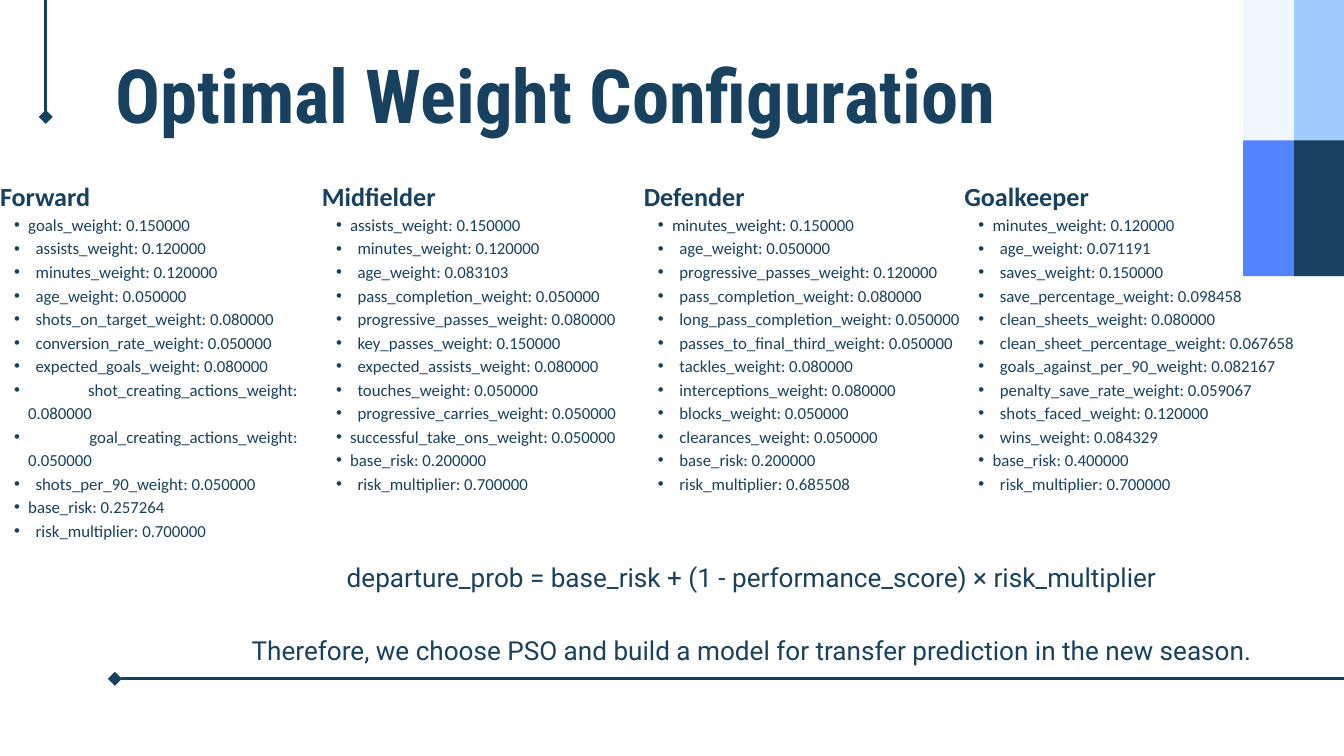
"""Build the slide listing the optimal weight configuration for each player role."""
import pptx
import pptx.util
import pptx.dml.color
import pptx.enum.shapes
import pptx.enum.text
import lxml.etree
from pptx.util import Inches

NAVY = "17415F"
ALIGN = pptx.enum.text.PP_ALIGN


def color(value):
    return pptx.dml.color.RGBColor.from_string(value)


def format_para(para, size, font, spacing, align, bold=False):
    para.alignment = align
    para.line_spacing = pptx.util.Pt(spacing)
    para.space_before = para.space_after = pptx.util.Pt(0)
    for span in para.runs:
        span.font.size = pptx.util.Pt(size)
        span.font.name = font
        span.font.bold = bold
        span.font.color.rgb = color(NAVY)


roles = [
    ("Forward", 0, 4.43, 5.36, [
        "goals_weight: 0.150000", "assists_weight: 0.120000",
        "minutes_weight: 0.120000", "age_weight: 0.050000",
        "shots_on_target_weight: 0.080000", "conversion_rate_weight: 0.050000",
        "expected_goals_weight: 0.080000", " shot_creating_actions_weight: 0.080000",
        " goal_creating_actions_weight: 0.050000", "shots_per_90_weight: 0.050000",
        "base_risk: 0.257264", "risk_multiplier: 0.700000"], (0, 7, 8, 10)),
    ("Midfielder", 4.79, 4.43, 4.68, [
        "assists_weight: 0.150000", "minutes_weight: 0.120000",
        "age_weight: 0.083103", "pass_completion_weight: 0.050000",
        "progressive_passes_weight: 0.080000", "key_passes_weight: 0.150000",
        "expected_assists_weight: 0.080000", "touches_weight: 0.050000",
        "progressive_carries_weight: 0.050000", "successful_take_ons_weight: 0.050000",
        "base_risk: 0.200000", "risk_multiplier: 0.700000"], (0, 9, 10)),
    ("Defender", 9.58, 4.84, 4.68, [
        "minutes_weight: 0.150000", "age_weight: 0.050000",
        "progressive_passes_weight: 0.120000", "pass_completion_weight: 0.080000",
        "long_pass_completion_weight: 0.050000", "passes_to_final_third_weight: 0.050000",
        "tackles_weight: 0.080000", "interceptions_weight: 0.080000",
        "blocks_weight: 0.050000", "clearances_weight: 0.050000",
        "base_risk: 0.200000", "risk_multiplier: 0.685508"], (0,)),
    ("Goalkeeper", 14.35, 4.91, 4.68, [
        "minutes_weight: 0.120000", "age_weight: 0.071191",
        "saves_weight: 0.150000", "save_percentage_weight: 0.098458",
        "clean_sheets_weight: 0.080000", "clean_sheet_percentage_weight: 0.067658",
        "goals_against_per_90_weight: 0.082167", "penalty_save_rate_weight: 0.059067",
        "shots_faced_weight: 0.120000", "wins_weight: 0.084329",
        "base_risk: 0.400000", "risk_multiplier: 0.700000"], (0, 10)),
]

deck = pptx.Presentation()
deck.slide_width, deck.slide_height = Inches(20), Inches(11.25)
page = deck.slides.add_slide(deck.slide_layouts.get_by_name("Comparison"))
title, *bodies = [holder for holder in page.placeholders
                  if holder.placeholder_format.idx < 5]
for holder in list(page.placeholders):
    if holder.placeholder_format.idx >= 5:
        holder.element.getparent().remove(holder.element)

for left, top, right, bottom in [(1.71, 10.1, 23.61, 10.1), (0.68, 1.74, 0.68, -20.16)]:
    rule = page.shapes.add_connector(
        pptx.enum.shapes.MSO_CONNECTOR.STRAIGHT,
        Inches(left), Inches(top), Inches(right), Inches(bottom))
    rule.line.color.rgb = color(NAVY)
    rule.line.width = pptx.util.Pt(3)
    properties = rule.element.spPr
    namespace = "{" + properties.nsmap["a"] + "}"
    lxml.etree.SubElement(rule.line._get_or_add_ln(), namespace + "headEnd",
                          type="diamond", w="lg", len="lg")
    lxml.etree.SubElement(properties, namespace + "effectLst")

for left, top, height, fill in [
        (18.5, -0.28, 4.39, "5284FF"), (18.5, -2.16, 4.25, "F0F7FE"),
        (19.26, -0.28, 4.39, NAVY), (19.26, -2.16, 4.25, "9FCDFF")]:
    block = page.shapes.add_shape(
        pptx.enum.shapes.MSO_SHAPE.RECTANGLE,
        Inches(left), Inches(top), Inches(1.93), Inches(height))
    block.shadow.inherit = False
    block.fill.solid()
    block.fill.fore_color.rgb = color(fill)
    block.line.fill.background()

closing = page.shapes.add_textbox(0, 0, 0, 0)
places = [(title, 1.72, 0.94, 13.55, 1.58), (closing, 2.36, 8.27, 17.64, 1.99)]
places += [(body, left, 2.6, width, height)
           for body, (name, left, width, height, weights, flush) in zip(bodies, roles)]
for box, left, top, width, height in places:
    box.left, box.top = Inches(left), Inches(top)
    box.width, box.height = Inches(width), Inches(height)
    frame = box.text_frame
    frame.margin_left = frame.margin_top = frame.margin_right = frame.margin_bottom = 0
    frame.word_wrap = True
    frame.auto_size = pptx.enum.text.MSO_AUTO_SIZE.NONE
    frame.vertical_anchor = pptx.enum.text.MSO_ANCHOR.TOP

title.text_frame.text = "Optimal Weight Configuration"
format_para(title.text_frame.paragraphs[0], 80, "Roboto Condensed", 80.8, ALIGN.LEFT, True)

for body, (name, left, width, height, weights, flush) in zip(bodies, roles):
    body.text_frame.text = "\n".join([name] + weights)
    heading, *items = body.text_frame.paragraphs
    settings = heading._p.get_or_add_pPr()
    settings.set("marL", "0")
    settings.set("indent", "0")
    lxml.etree.SubElement(settings, namespace + "buNone")
    format_para(heading, 28, "Calibri", 39.2, ALIGN.JUSTIFY, True)
    for number, para in enumerate(items):
        margin = 0.42 if number in flush else 0.53
        para.level = 1
        settings = para._p.get_or_add_pPr()
        settings.set("marL", str(Inches(margin)))
        settings.set("indent", str(Inches(0.21 - margin)))
        lxml.etree.SubElement(settings, namespace + "buFont", typeface="Arial")
        lxml.etree.SubElement(settings, namespace + "buChar", char="•")
        format_para(para, 18, "Calibri", 25.2, ALIGN.JUSTIFY)

closing.text_frame.text = (
    "departure_prob = base_risk + (1 - performance_score) × risk_multiplier\n"
    "Therefore, we choose PSO and build a model for transfer prediction in the new season.")
for para in closing.text_frame.paragraphs:
    format_para(para, 28, "Roboto", 39.2, ALIGN.CENTER)
closing.text_frame.paragraphs[1].space_before = pptx.util.Pt(39.2)

deck.save("out.pptx")
